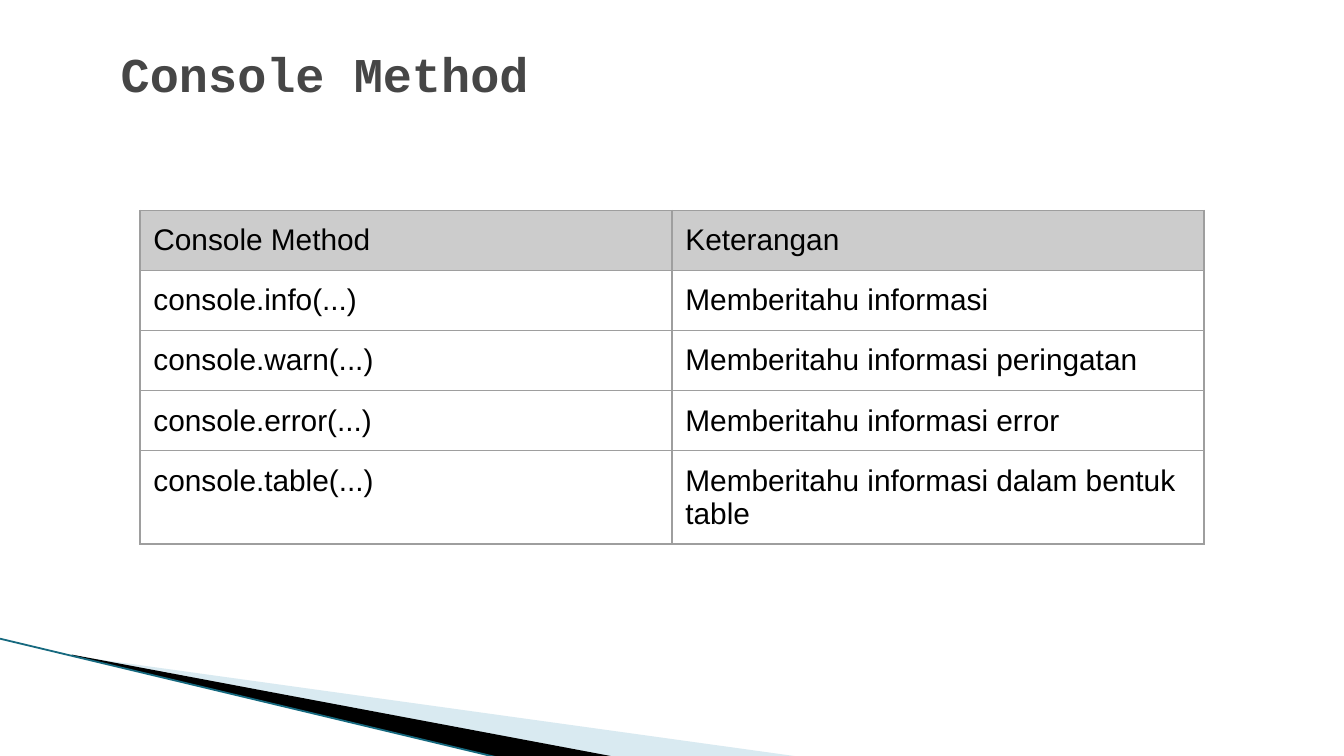
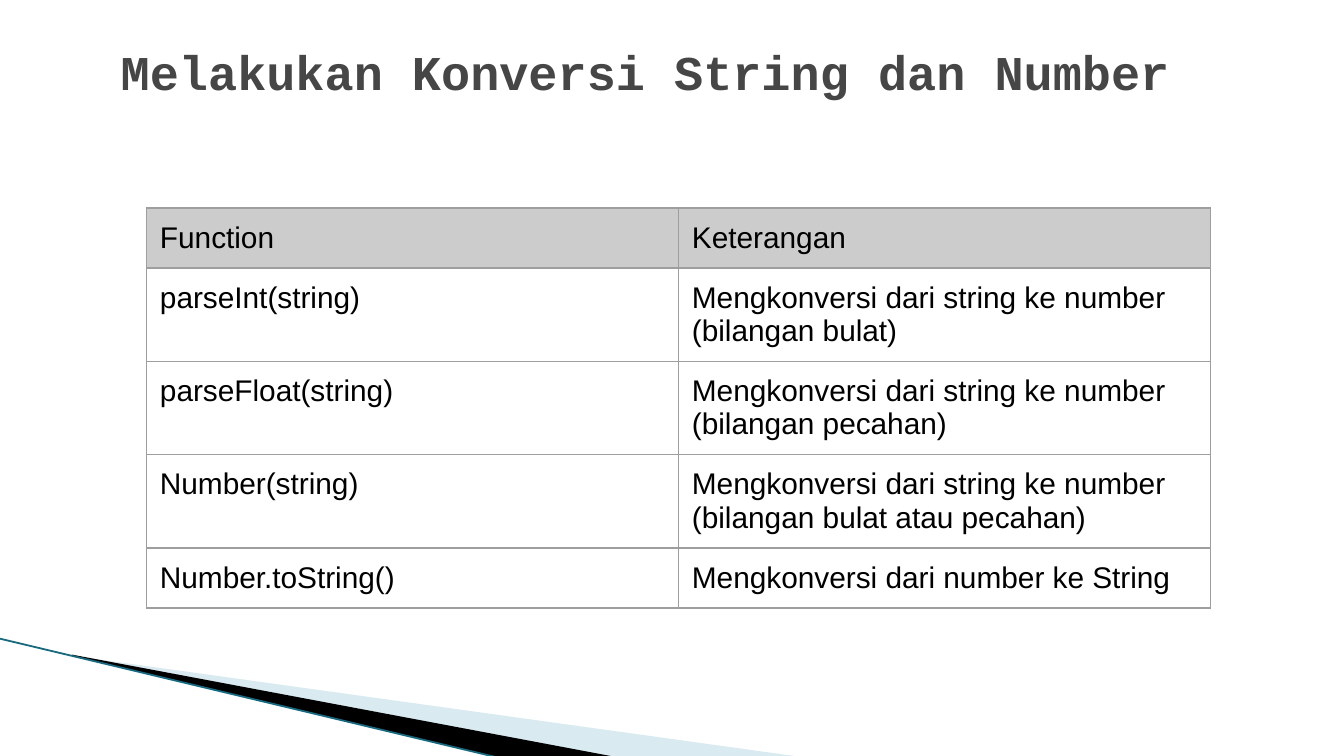
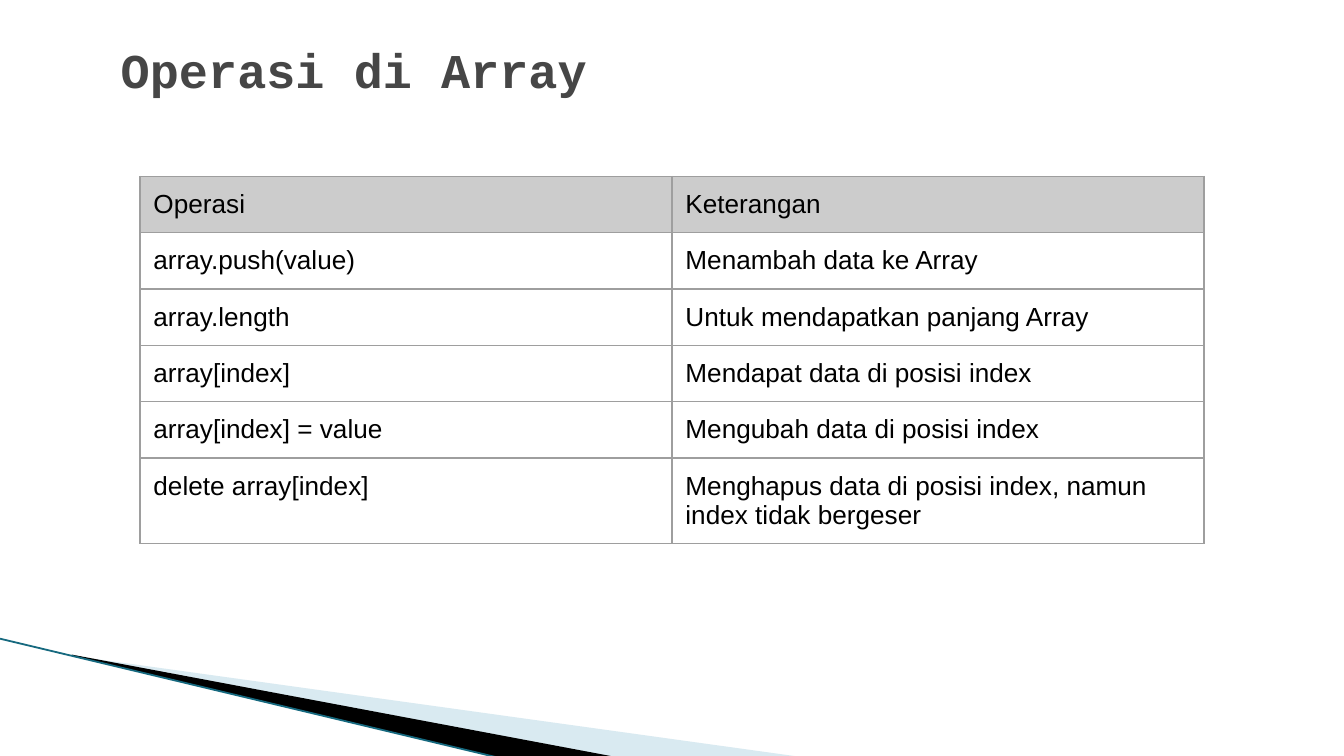
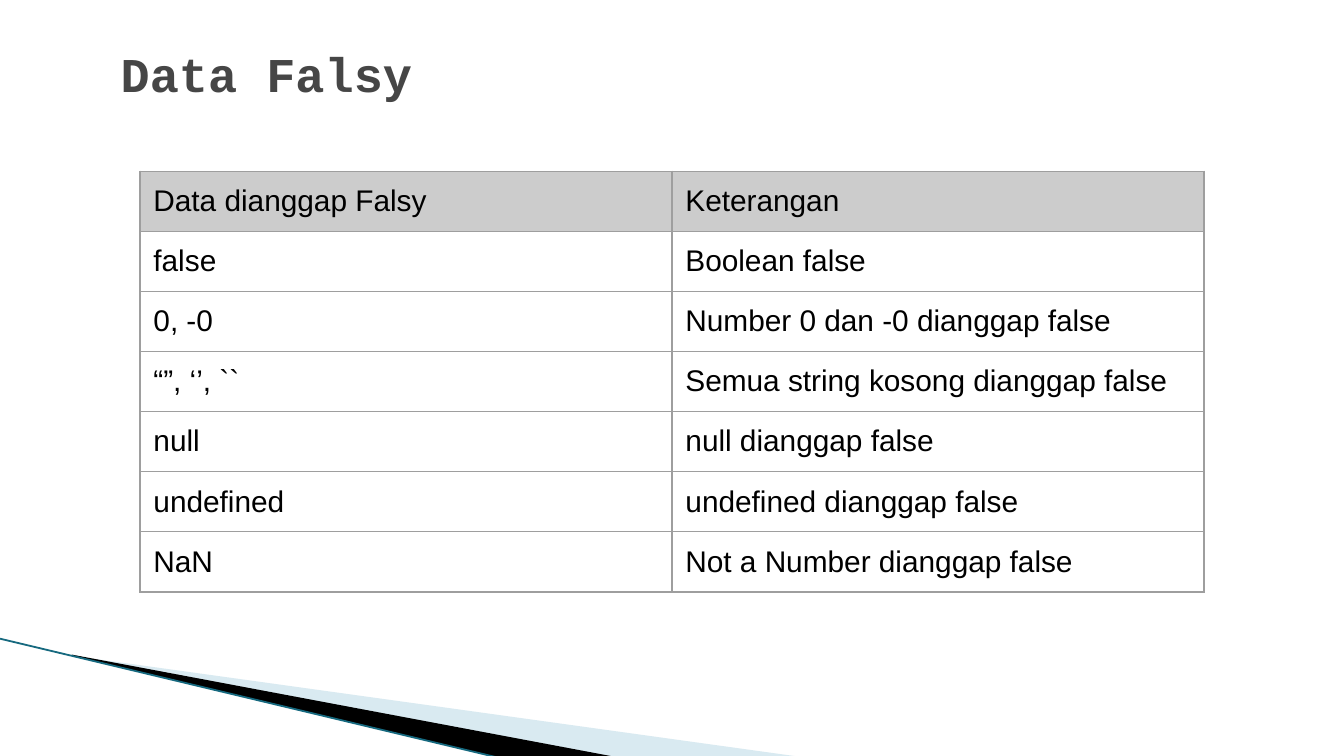
from lxml.etree import SubElement
from pptx import Presentation
from pptx.dml.color import RGBColor
from pptx.enum.shapes import MSO_CONNECTOR
from pptx.enum.text import MSO_ANCHOR, MSO_AUTO_SIZE, PP_ALIGN
from pptx.oxml import parse_xml
from pptx.oxml.ns import nsdecls, qn
from pptx.util import Pt

COLOURS = {
    "title": "464646",
    "text": "000000",
    "header": "CCCCCC",
    "border": "9E9E9E",
    "pale_band": "A0CBDC",
    "dark_band": "000000",
    "band_line": "16697F",
}
TITLE_FONT = {"name": "Courier New", "size": Pt(26), "bold": True}
CELL_FONT = {"name": "Arial", "bold": False}
INSETS = {f"margin_{side}": Pt(7.2) for side in ("left", "right", "top", "bottom")}
PAGE_WIDTH, PAGE_HEIGHT = 720, 405
COLUMN_WIDTH, ROW_HEIGHT = 285, 30.1
BORDER_WIDTH = 0.75

# Each page: title, title top, table left and top, text size, rows
PAGES = [
    ("Console Method", 16.6, (75, 112.7), 16, [
        ("Console Method", "Keterangan"),
        ("console.info(...)", "Memberitahu informasi"),
        ("console.warn(...)", "Memberitahu informasi peringatan"),
        ("console.error(...)", "Memberitahu informasi error"),
        ("console.table(...)", "Memberitahu informasi dalam bentuk table"),
    ]),
    ("Melakukan Konversi String dan Number", 15.1, (78.5, 111.4), 16, [
        ("Function", "Keterangan"),
        ("parseInt(string)", "Mengkonversi dari string ke number (bilangan bulat)"),
        ("parseFloat(string)", "Mengkonversi dari string ke number (bilangan pecahan)"),
        ("Number(string)", "Mengkonversi dari string ke number (bilangan bulat atau pecahan)"),
        ("Number.toString()", "Mengkonversi dari number ke String"),
    ]),
    ("Operasi di Array", 14.4, (75, 94.5), 14, [
        ("Operasi", "Keterangan"),
        ("array.push(value)", "Menambah data ke Array"),
        ("array.length", "Untuk mendapatkan panjang Array"),
        ("array[index]", "Mendapat data di posisi index"),
        ("array[index] = value", "Mengubah data di posisi index"),
        ("delete array[index]", "Menghapus data di posisi index, namun index tidak bergeser"),
    ]),
    ("Data Falsy", 16.6, (75, 91.7), 16, [
        ("Data dianggap Falsy", "Keterangan"),
        ("false", "Boolean false"),
        ("0, -0", "Number 0 dan -0 dianggap false"),
        ("“”, ‘’, ``", "Semua string kosong dianggap false"),
        ("null", "null dianggap false"),
        ("undefined", "undefined dianggap false"),
        ("NaN", "Not a Number dianggap false"),
    ]),
]


def colour(name):
    return RGBColor.from_string(COLOURS[name])


def apply_format(target, values):
    for name, value in values.items():
        setattr(target, name, value)


def write_text(paragraph, text, font, colour_name):
    span = paragraph.add_run()
    span.text = text
    apply_format(span.font, font)
    span.font.color.rgb = colour(colour_name)


def set_frame(band, frame):
    """Give the band a frame of its own; the outline stays and may reach outside it."""
    left, top, width, height = (Pt(length) for length in frame)
    for point in band.element.spPr.iter(qn("a:pt")):
        point.set("x", str(int(point.get("x")) + band.left - left))
        point.set("y", str(int(point.get("y")) + band.top - top))
    outline = band.element.spPr.find(".//" + qn("a:path"))
    outline.set("w", str(width))
    outline.set("h", str(height))
    apply_format(band, {"left": left, "top": top, "width": width, "height": height})


def add_band(page, frame, points, colour_name, opacity=100):
    builder = page.shapes.build_freeform(Pt(points[0][0]), Pt(points[0][1]))
    builder.add_line_segments([(Pt(x), Pt(y)) for x, y in points[1:]], close=True)
    band = builder.convert_to_shape()
    set_frame(band, frame)
    band.shadow.inherit = False
    band.fill.solid()
    band.fill.fore_color.rgb = colour(colour_name)
    band.line.fill.background()
    if opacity < 100:
        shade = band.element.spPr.find(".//" + qn("a:srgbClr"))
        SubElement(shade, qn("a:alpha"), val=str(opacity * 1000))
    return band


def add_corner(page, layout, left, top):
    """Draw the corner bands and hand them to the layout that all pages share."""
    def place(points):
        return [(left + x, top + y) for x, y in points]

    pale = add_band(page, (left + 56.2, top - 46.8, 299.5, 85),
                    place([(40, 9.5), (428.4, 63.4), (328.4, 63.4)]), "pale_band", 40)
    dark = add_band(page, (left - 4.3, top - 0.7, 299.5, 49.7),
                    place([(38.4, 8.7), (329, 63.4), (268, 64), (39, 9.3)]), "dark_band")

    # Thin edge line
    (start_x, start_y), (end_x, end_y) = place([(-0.7, 0), (267.3, 64)])
    edge = page.shapes.add_connector(
        MSO_CONNECTOR.STRAIGHT, Pt(start_x), Pt(start_y), Pt(end_x), Pt(end_y))
    edge.line.color.rgb = colour("band_line")
    edge.line.width = Pt(0.95)
    SubElement(edge.element.spPr, qn("a:effectLst"))

    for shape in (pale, dark, edge):
        layout.shapes.element.append(shape.element)


def add_title(page, text, left, top):
    title = page.shapes.title
    apply_format(title, {"left": Pt(left), "top": Pt(top), "width": Pt(605.5), "height": Pt(42.5)})
    frame = title.text_frame
    apply_format(frame, INSETS)
    apply_format(frame, {"word_wrap": True, "auto_size": MSO_AUTO_SIZE.NONE,
                         "vertical_anchor": MSO_ANCHOR.TOP})
    paragraph = frame.paragraphs[0]
    paragraph.alignment = PP_ALIGN.LEFT
    write_text(paragraph, text, TITLE_FONT, "title")


def add_borders(cell):
    properties = cell._tc.get_or_add_tcPr()
    for position, side in enumerate(("lnL", "lnR", "lnT", "lnB")):
        properties.insert(position, parse_xml(
            f'<a:{side} {nsdecls("a")} w="{Pt(BORDER_WIDTH)}"><a:solidFill>'
            f'<a:srgbClr val="{COLOURS["border"]}"/></a:solidFill></a:{side}>'))


def add_method_table(page, rows, left, top, size):
    columns = len(rows[0])
    table = page.shapes.add_table(
        len(rows), columns, Pt(left), Pt(top),
        Pt(COLUMN_WIDTH * columns), Pt(ROW_HEIGHT * len(rows))).table
    apply_format(table, {"first_row": False, "horz_banding": False})
    for row_number, texts in enumerate(rows):
        table.rows[row_number].height = Pt(ROW_HEIGHT)
        for column_number, text in enumerate(texts):
            cell = table.cell(row_number, column_number)
            apply_format(cell, INSETS)
            if row_number == 0:
                cell.fill.solid()
                cell.fill.fore_color.rgb = colour("header")
            else:
                cell.fill.background()
            add_borders(cell)
            write_text(cell.text_frame.paragraphs[0], text,
                       CELL_FONT | {"size": Pt(size)}, "text")


def main():
    deck = Presentation()
    deck.slide_width, deck.slide_height = Pt(PAGE_WIDTH), Pt(PAGE_HEIGHT)
    layout = deck.slide_layouts.get_by_name("Title Only")
    for title, title_top, (left, top), size, rows in PAGES:
        page = deck.slides.add_slide(layout)
        if len(deck.slides) == 1:
            add_corner(page, layout, 0, 342)
        add_title(page, title, 57.5, title_top)
        add_method_table(page, rows, left, top, size)
    deck.save("out.pptx")


if __name__ == "__main__":
    main()
